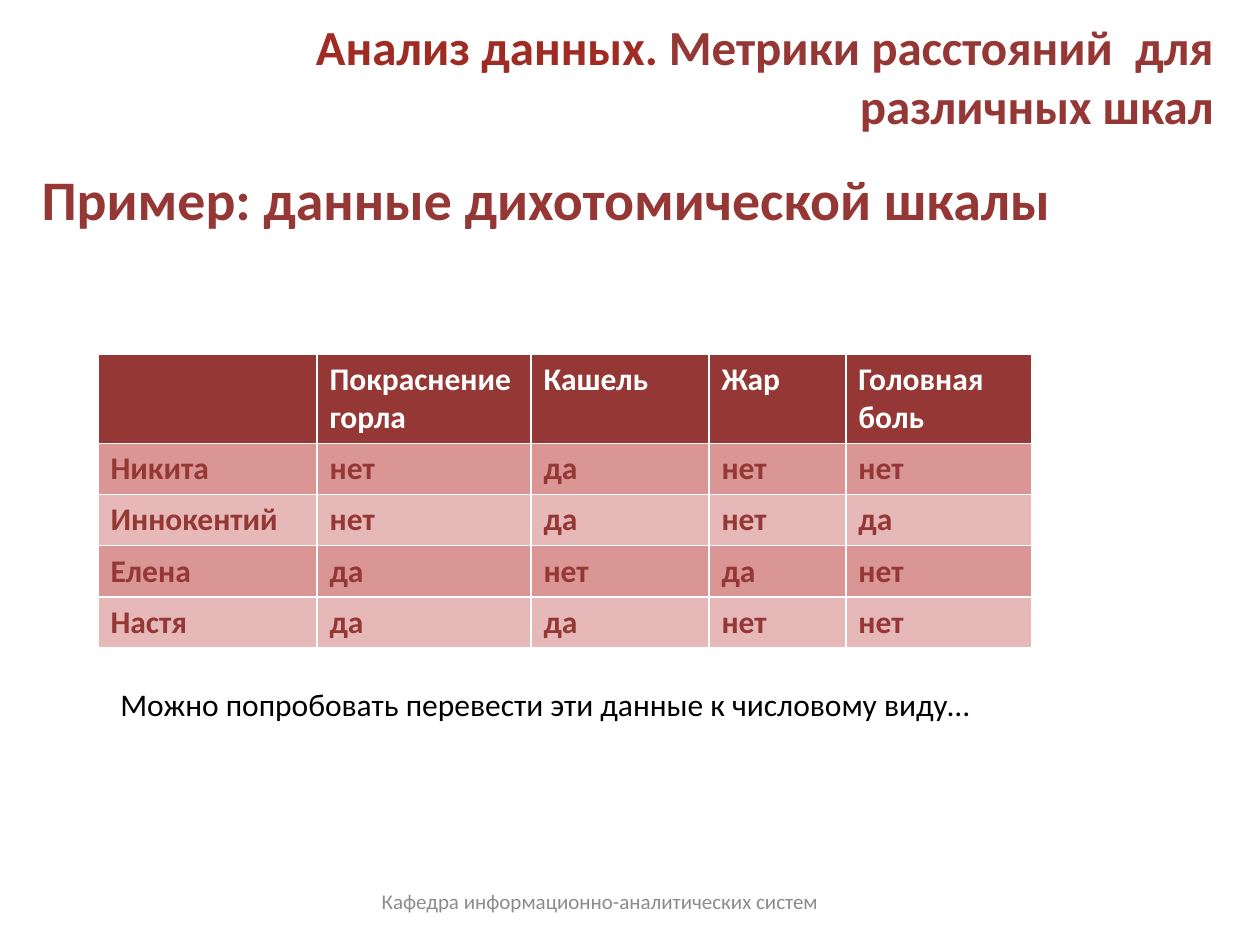
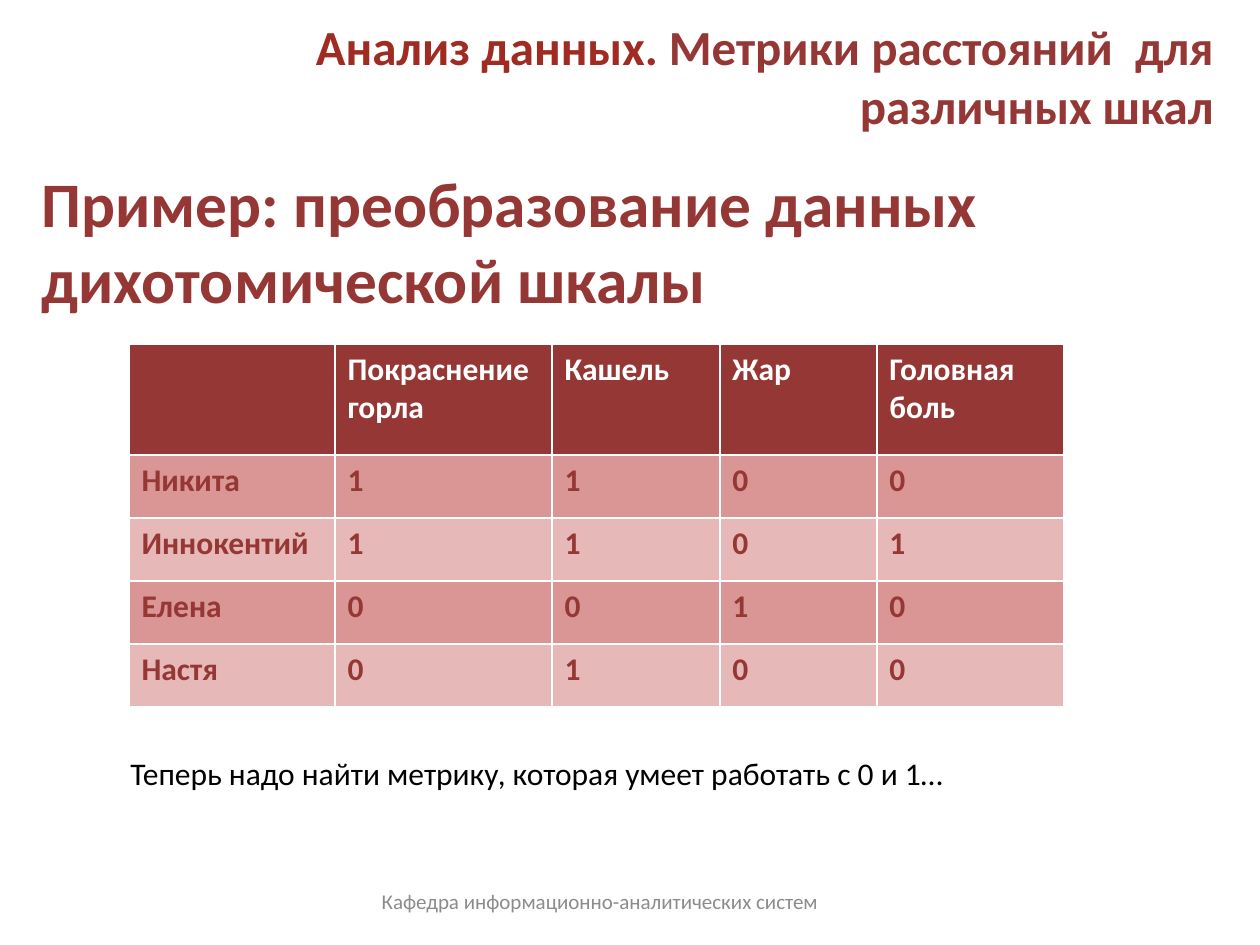
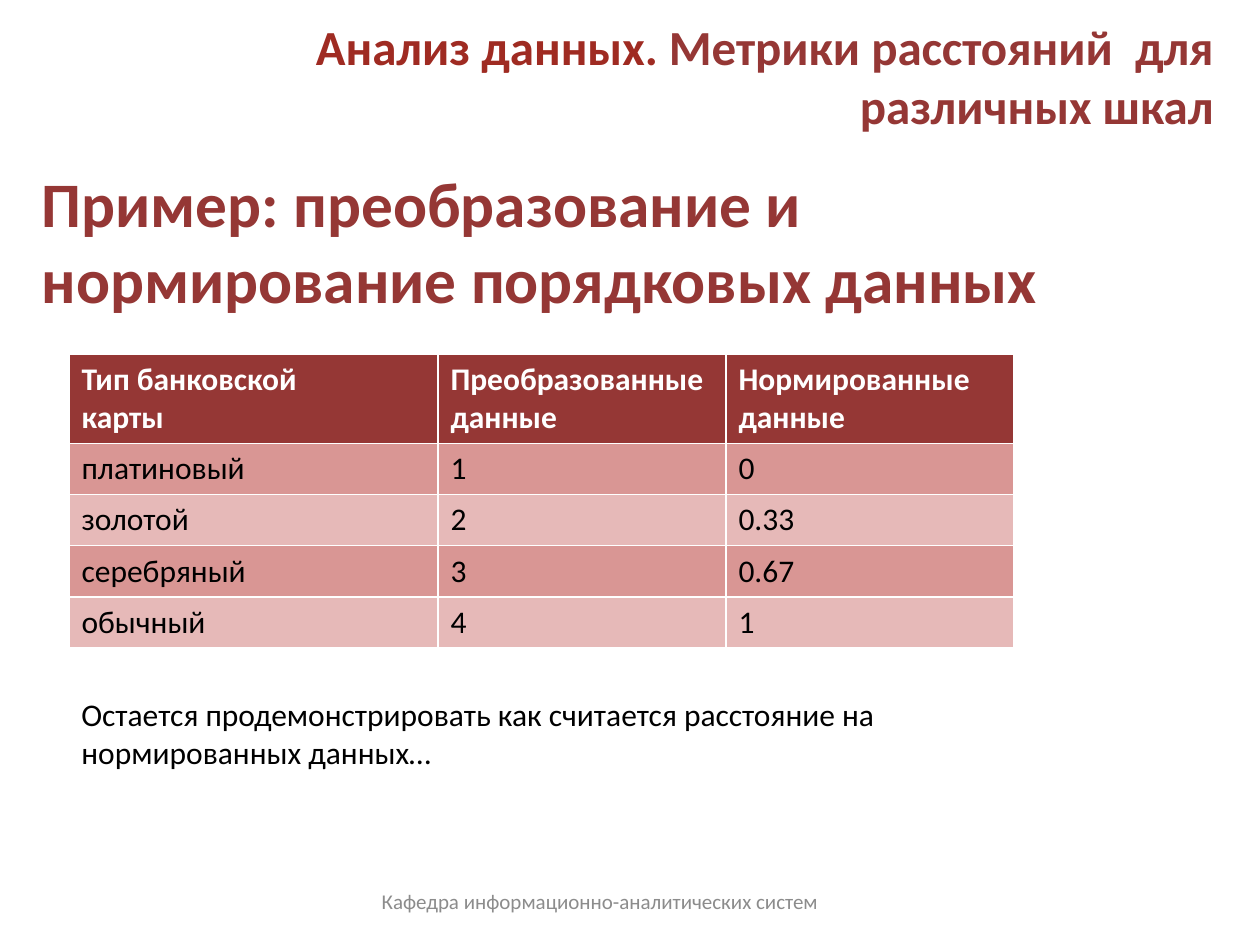
import pptx
import pptx.dml.color
import pptx.enum.text
import pptx.oxml.ns
import pptx.util
from lxml import etree

ALIGN = pptx.enum.text.PP_ALIGN
ANCHOR = pptx.enum.text.MSO_ANCHOR

COURSE = "Анализ данных. "
TOPIC = "Метрики расстояний  для различных шкал"
DEPARTMENT = "Кафедра информационно-аналитических систем"
SYMPTOMS = ["", "Покраснение горла", "Кашель", "Жар", "Головная боль"]

SLIDES = [
    {
        "heading": "Пример: данные дихотомической шкалы",
        "heading_size": 31.9,
        "body_height": 541,
        "table_at": (98, 354),
        "cols": [219, 214, 178, 137, 186],
        "row_heights": (87, 51),
        "cells": [
            SYMPTOMS,
            ["Никита", "нет", "да", "нет", "нет"],
            ["Иннокентий", "нет", "да", "нет", "да"],
            ["Елена", "да", "нет", "да", "нет"],
            ["Настя", "да", "да", "нет", "нет"],
        ],
        "cell_style": ("accent", True),
        "note": "Можно попробовать перевести эти данные к числовому виду…",
        "note_box": (108, 679, 994, 51),
    },
    {
        "heading": "Пример: преобразование данных дихотомической шкалы",
        "heading_size": 36.2,
        "body_height": 659,
        "table_at": (129, 344),
        "cols": [206, 217, 168, 157, 187],
        "row_heights": (111, 63),
        "cells": [
            SYMPTOMS,
            ["Никита", "1", "1", "0", "0"],
            ["Иннокентий", "1", "1", "0", "1"],
            ["Елена", "0", "0", "1", "0"],
            ["Настя", "0", "1", "0", "0"],
        ],
        "cell_style": ("accent", True),
        "note": "Теперь надо найти метрику, которая умеет работать с 0 и 1…",
        "note_box": (118, 748, 994, 51),
    },
    {
        "heading": "Пример: преобразование и нормирование порядковых данных",
        "heading_size": 36.2,
        "body_height": 659,
        "table_at": (69, 354),
        "cols": [369, 288, 288],
        "row_heights": (89, 51),
        "cells": [
            ["Тип банковской\nкарты", "Преобразованные данные", "Нормированные данные"],
            ["платиновый", "1", "0"],
            ["золотой", "2", "0.33"],
            ["серебряный", "3", "0.67"],
            ["обычный", "4", "1"],
        ],
        "cell_style": ("text", False),
        "note": "Остается продемонстрировать как считается расстояние на "
                "нормированных данных…",
        "note_box": (69, 689, 955, 89),
    },
]

THEME = {
    "font": "Calibri",
    "colors": {
        "accent": "953735", "course": "9F2B22", "text": "000000", "muted": "8C8C8C",
        "white": "FFFFFF", "band_dark": "D99694", "band_light": "E6B9B8",
    },
    "sizes": {"title": 28, "text": 18, "footer": 12},
}
SIZES = THEME["sizes"]

PX_PER_INCH = 126
SLIDE_SIZE = (1260, 945)
TITLE_BOX = (118, 16, 1108, 118)
BODY_LEFT, BODY_TOP, BODY_WIDTH = 29, 158, 1162
FOOTER_BOX = (344, 876, 512, 50)


def px(n):
    return pptx.util.Emu(round(n * 914400 / PX_PER_INCH))


def rgb(name):
    return pptx.dml.color.RGBColor.from_string(THEME["colors"][name])


def write(tf, text, size=SIZES["text"], color="text", bold=False, align=ALIGN.LEFT):
    """Append text to the last paragraph; each line break starts a new one."""
    for i, line in enumerate(text.split("\n")):
        p = tf.add_paragraph() if i else tf.paragraphs[-1]
        p.alignment = align
        if line:
            r = p.add_run()
            r.text = line
            r.font.name = THEME["font"]
            r.font.size = pptx.util.Pt(size)
            r.font.bold = bold
            r.font.color.rgb = rgb(color)


def place(sp, left, top, width, height):
    sp.left, sp.top, sp.width, sp.height = map(px, (left, top, width, height))
    sp.text_frame.auto_size = pptx.enum.text.MSO_AUTO_SIZE.NONE
    sp.text_frame.word_wrap = True
    return sp.text_frame


def add_text_box(s, box, text, anchor=ANCHOR.TOP, **fmt):
    tf = place(s.shapes.add_textbox(0, 0, 0, 0), *box)
    tf.vertical_anchor = anchor
    write(tf, text, **fmt)


def remove_bullet(p):
    pPr = p._p.get_or_add_pPr()
    pPr.set("marL", "0")
    pPr.set("indent", "0")
    etree.SubElement(pPr, pptx.oxml.ns.qn("a:buNone"))


def add_title(s):
    tf = place(s.shapes.title, *TITLE_BOX)
    tf.vertical_anchor = ANCHOR.MIDDLE
    for text, color in ((COURSE, "course"), (TOPIC, "accent")):
        write(tf, text, size=SIZES["title"], color=color, bold=True, align=ALIGN.RIGHT)


def add_heading(s, data):
    tf = place(s.placeholders[1], BODY_LEFT, BODY_TOP, BODY_WIDTH, data["body_height"])
    write(tf, data["heading"], size=data["heading_size"], color="accent", bold=True)
    remove_bullet(tf.paragraphs[0])


def add_data_table(s, data):
    cells, cols = data["cells"], data["cols"]
    head_height, row_height = data["row_heights"]
    heights = [head_height] + [row_height] * (len(cells) - 1)
    left, top = data["table_at"]
    table = s.shapes.add_table(len(cells), len(cols), px(left), px(top),
                               px(sum(cols)), px(sum(heights))).table
    for column, width in zip(table.columns, cols):
        column.width = px(width)
    for i, (row, height, values) in enumerate(zip(table.rows, heights, cells)):
        row.height = px(height)
        if i == 0:
            fill, (color, bold) = "accent", ("white", True)
        else:
            fill = "band_dark" if i % 2 else "band_light"
            color, bold = data["cell_style"]
        for cell, value in zip(row.cells, values):
            cell.fill.solid()
            cell.fill.fore_color.rgb = rgb(fill)
            write(cell.text_frame, value, color=color, bold=bold)


def main():
    prs = pptx.Presentation()
    prs.slide_width, prs.slide_height = map(px, SLIDE_SIZE)
    for data in SLIDES:
        s = prs.slides.add_slide(prs.slide_layouts[1])
        add_title(s)
        add_heading(s, data)
        add_data_table(s, data)
        add_text_box(s, data["note_box"], data["note"])
        add_text_box(s, FOOTER_BOX, DEPARTMENT, anchor=ANCHOR.MIDDLE,
                     size=SIZES["footer"], color="muted", align=ALIGN.CENTER)
    prs.save("out.pptx")


if __name__ == "__main__":
    main()
